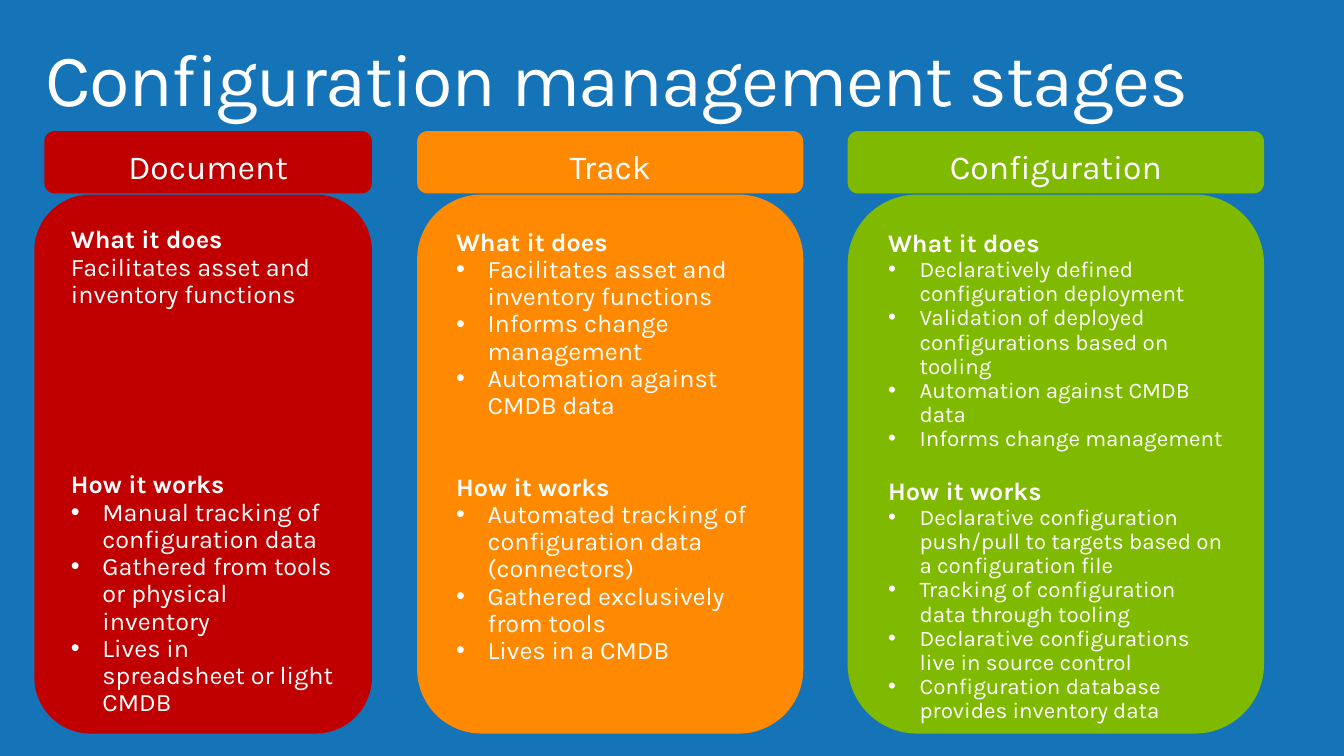
"""Build the slide comparing the stages of configuration management."""
from lxml import etree
from pptx import Presentation
from pptx.dml.color import RGBColor
from pptx.enum.shapes import MSO_SHAPE
from pptx.enum.text import MSO_ANCHOR, PP_ALIGN
from pptx.oxml.ns import qn
from pptx.util import Pt

ROUNDED = MSO_SHAPE.ROUNDED_RECTANGLE
TOP = MSO_ANCHOR.TOP
LEFT, CENTER = PP_ALIGN.LEFT, PP_ALIGN.CENTER

COLORS = {
    "background": "1574B8",
    "text": "FFFFFF",
    "document": "C00000",
    "track": "FF8900",
    "configuration": "7FBA00",
}
LINE_HEIGHT = 19.44
HEADER_TOP, HEADER_HEIGHT = 93.6, 44.6
PANEL_TOP, PANEL_HEIGHT = 139, 385

STAGES = [
    {
        "name": "Document", "color": "document",
        "header": (31.7, 234), "panel": (24.5, 241.2),
        "size": 18, "gap_lines": 6, "does_bulleted": False,
        "does": ["Facilitates asset and inventory functions"],
        "works": [
            "Manual tracking of configuration data",
            "Gathered from tools or physical inventory",
            "Lives in spreadsheet or light CMDB",
        ],
    },
    {
        "name": "Track", "color": "track",
        "header": (298, 275.8), "panel": (298, 275.8),
        "size": 18, "gap_lines": 2, "does_bulleted": True,
        "does": [
            "Facilitates asset and inventory functions",
            "Informs change management",
            "Automation against CMDB data",
        ],
        "works": [
            "Automated tracking of configuration data (connectors)",
            "Gathered exclusively from tools",
            "Lives in a CMDB",
        ],
    },
    {
        "name": "Configuration", "color": "configuration",
        "header": (605.5, 297.4), "panel": (605.5, 297.4),
        "size": 16, "gap_lines": 1, "does_bulleted": True,
        "does": [
            "Declaratively defined configuration deployment",
            "Validation of deployed configurations based on tooling",
            "Automation against CMDB data",
            "Informs change management",
        ],
        "works": [
            "Declarative configuration push/pull to targets based on a configuration file",
            "Tracking of configuration data through tooling",
            "Declarative configurations live in source control",
            "Configuration database provides inventory data",
        ],
    },
]


class StageSlide:
    """Hold the style and the current slide, and draw its elements."""

    font = "Karla"
    line_spacing = 0.9
    bullet_indent = 22.5

    def __init__(self, slide):
        self.slide = slide
        fill = slide.background.fill
        fill.solid()
        fill.fore_color.rgb = self.color("background")

    def color(self, key):
        return RGBColor.from_string(COLORS[key])

    def apply(self, target, values):
        for attribute, value in values.items():
            setattr(target, attribute, value)

    def frame(self, shape, side, edge):
        self.apply(shape.text_frame, {
            "word_wrap": True, "vertical_anchor": TOP,
            "margin_left": Pt(side), "margin_right": Pt(side),
            "margin_top": Pt(edge), "margin_bottom": Pt(edge),
        })
        return shape.text_frame

    def paragraph(self, frame, text, size, bold=False, align=LEFT, before=0, bulleted=False):
        used = frame.paragraphs[0].runs
        paragraph = frame.add_paragraph() if used else frame.paragraphs[0]
        self.apply(paragraph, {
            "alignment": align, "line_spacing": self.line_spacing,
            "space_before": Pt(before), "space_after": Pt(0),
        })
        run = paragraph.add_run()
        run.text = text
        self.apply(run.font, {"name": self.font, "size": Pt(size), "bold": bold})
        run.font.color.rgb = self.color("text")
        if bulleted:
            properties = paragraph._p.get_or_add_pPr()
            properties.set("marL", str(Pt(self.bullet_indent)))
            properties.set("indent", str(-Pt(self.bullet_indent)))
            etree.SubElement(properties, qn("a:buFont")).set("typeface", "Arial")
            etree.SubElement(properties, qn("a:buChar")).set("char", "•")
        return run

    def title(self, text):
        box = self.slide.shapes.add_textbox(Pt(21), Pt(23), Pt(908.6), Pt(70.6))
        run = self.paragraph(self.frame(box, 11.5, 7.2), text, 52.9)
        run.font._element.set("spc", "-100")

    def card(self, left, top, width, height, color):
        card = self.slide.shapes.add_shape(ROUNDED, Pt(left), Pt(top), Pt(width), Pt(height))
        card.shadow.inherit = False
        card.fill.solid()
        card.fill.fore_color.rgb = self.color(color)
        card.line.fill.background()
        return self.frame(card, 14.4, 11.5)

    def panel(self, stage):
        left, width = stage["panel"]
        frame = self.card(left, PANEL_TOP, width, PANEL_HEIGHT, stage["color"])
        sections = [
            ("What it does", stage["does"], stage["does_bulleted"], 0),
            ("How it works", stage["works"], True, stage["gap_lines"] * LINE_HEIGHT),
        ]
        for heading, points, bulleted, before in sections:
            self.paragraph(frame, heading, 18, bold=True, before=before)
            for point in points:
                self.paragraph(frame, point, stage["size"], bulleted=bulleted)

    def header(self, stage):
        left, width = stage["header"]
        frame = self.card(left, HEADER_TOP, width, HEADER_HEIGHT, stage["color"])
        self.paragraph(frame, stage["name"], 24, align=CENTER)


def main():
    presentation = Presentation()
    presentation.slide_width, presentation.slide_height = Pt(960), Pt(540)
    stages_slide = StageSlide(presentation.slides.add_slide(presentation.slide_layouts[6]))
    stages_slide.title("Configuration management stages")
    for stage in STAGES:
        stages_slide.panel(stage)
        stages_slide.header(stage)
    presentation.save("out.pptx")


if __name__ == "__main__":
    main()
